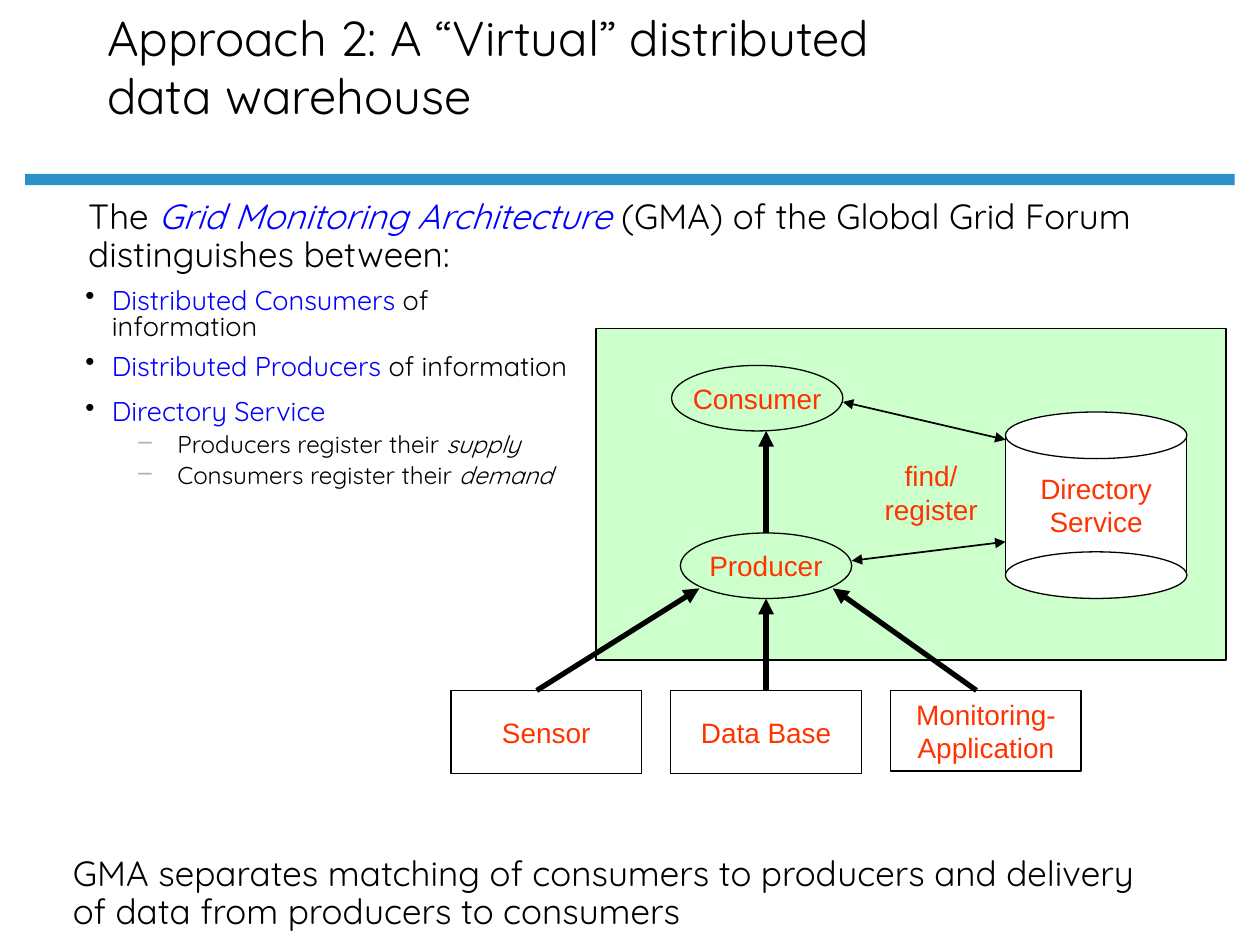
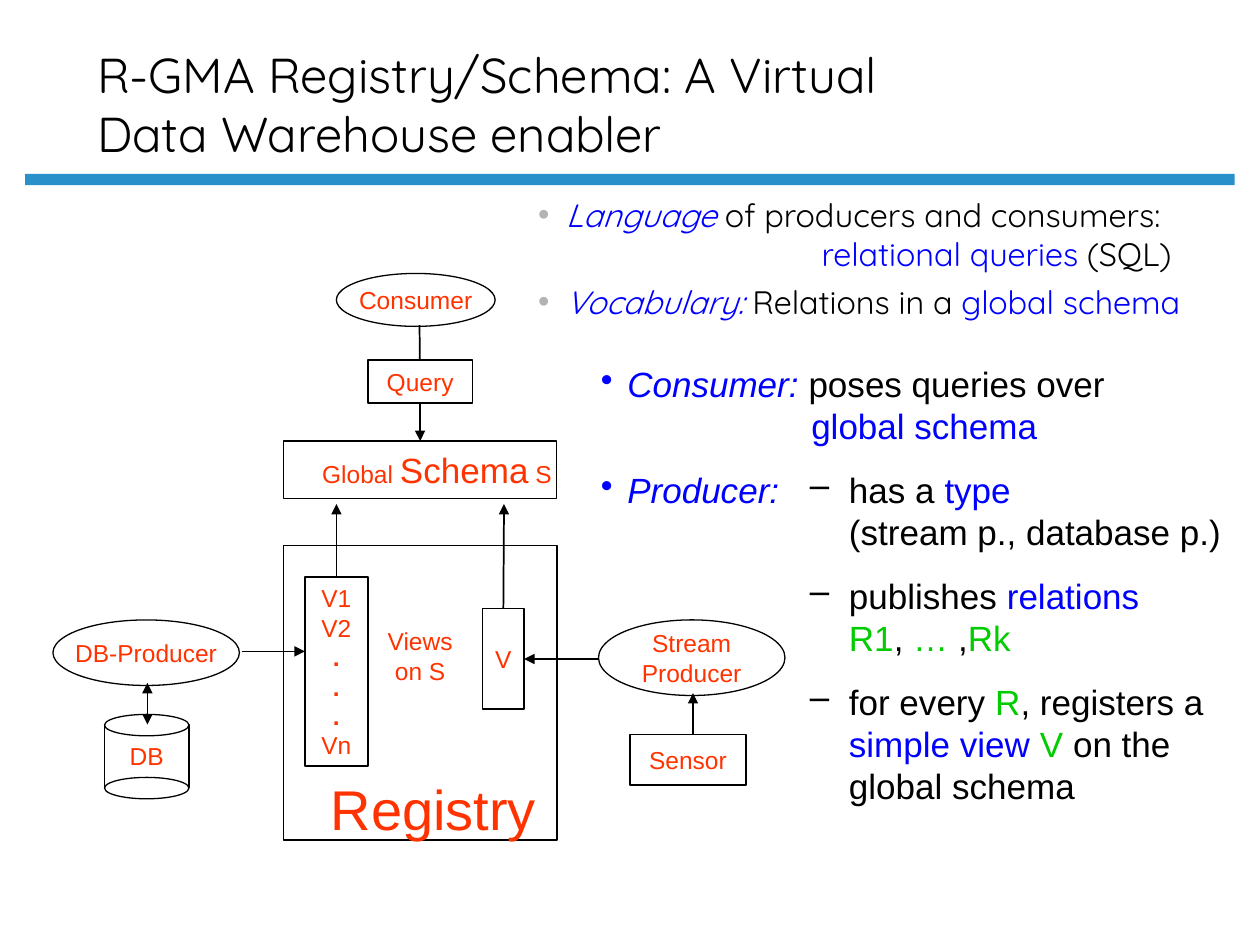
from copy import deepcopy
from dataclasses import dataclass
from typing import NamedTuple

from lxml import etree
from pptx import Presentation
from pptx.dml.color import RGBColor
from pptx.enum.shapes import MSO_CONNECTOR, MSO_SHAPE
from pptx.enum.text import MSO_ANCHOR, MSO_AUTO_SIZE, PP_ALIGN
from pptx.oxml.ns import qn
from pptx.shapes.autoshape import Shape
from pptx.slide import Slide
from pptx.text.text import TextFrame
from pptx.util import Emu, Pt

EMU_PER_PX = 9144
STRAIGHT = MSO_CONNECTOR.STRAIGHT
RECTANGLE, OVAL = MSO_SHAPE.RECTANGLE, MSO_SHAPE.OVAL
TOP, MIDDLE, BOTTOM = MSO_ANCHOR.TOP, MSO_ANCHOR.MIDDLE, MSO_ANCHOR.BOTTOM
LEFT, CENTER, RIGHT = PP_ALIGN.LEFT, PP_ALIGN.CENTER, PP_ALIGN.RIGHT
FIXED = MSO_AUTO_SIZE.NONE
TOP_SIDE, RIGHT_SIDE = 0, 3

BLACK, WHITE, BLUE, GREEN = "000000", "FFFFFF", "0000FF", "00CC00"
LABEL_RED, BAND_BLUE, GRID_GREEN, BULLET_GRAY = "FF3300", "2990CA", "CCFFCC", "B2B3B5"
HEADING_FONT, LABEL_FONT = "Quicksand", "Arial"


class Area(NamedTuple):
    left: int
    top: int
    width: int
    height: int


BAND = Area(20, 138, 960, 9)


class Span(NamedTuple):
    text: str
    color: str = BLACK
    italic: bool = False
    bold: bool = False
    size: float | None = None


@dataclass
class Para:
    spans: list[Span]
    size: float
    before: float = 0
    spacing: float = 1.0
    indent: int = 0
    hang: int = 0
    bullet: str = ""
    bullet_color: str = BLACK
    level: int = 0
    align: PP_ALIGN = LEFT


@dataclass
class Node:
    name: str
    area: Area
    paras: list[Para]
    kind: MSO_SHAPE = RECTANGLE
    fill: str | None = None
    weight: float = 0.75
    anchor: MSO_ANCHOR = MIDDLE
    margins: Area = Area(0, 0, 0, 0)


@dataclass
class Arrow:
    start: tuple[int, int]
    end: tuple[int, int]
    weight: float = 1
    double: bool = False
    start_join: tuple[str, int] | None = None
    end_join: tuple[str, int] | None = None


def px(length: int) -> Emu:
    return Emu(length * EMU_PER_PX)


def rgb(color: str) -> RGBColor:
    return RGBColor.from_string(color)


def label(text: str, size: float) -> list[Para]:
    return [Para([Span(text, LABEL_RED)], size, align=CENTER)]


def place(shape: Shape, area: Area) -> None:
    shape.left, shape.top, shape.width, shape.height = map(px, area)


def write_text(frame: TextFrame, paras: list[Para], font: str) -> None:
    for index, item in enumerate(paras):
        paragraph = frame.add_paragraph() if index else frame.paragraphs[0]
        paragraph.level = item.level
        properties = paragraph._p.get_or_add_pPr()
        properties.set("marL", str(px(item.indent)))
        properties.set("indent", str(px(-item.hang)))
        if item.bullet:
            color = etree.SubElement(properties, qn("a:buClr"))
            etree.SubElement(color, qn("a:srgbClr"), val=item.bullet_color)
            etree.SubElement(properties, qn("a:buChar"), char=item.bullet)
        else:
            etree.SubElement(properties, qn("a:buNone"))
        paragraph.alignment = item.align
        paragraph.line_spacing = item.spacing
        paragraph.space_before = Pt(item.before)
        for span in item.spans:
            for piece_index, piece in enumerate(span.text.split("\n")):
                if piece_index:
                    previous = paragraph.runs[-1]._r.rPr
                    paragraph.add_line_break()
                    paragraph._p[-1].append(deepcopy(previous))
                if not piece:
                    continue
                run = paragraph.add_run()
                run.text = piece
                run.font.name = font
                run.font.size = Pt(span.size or item.size)
                run.font.color.rgb = rgb(span.color)
                run.font.italic = span.italic
                run.font.bold = span.bold


def fill_placeholder(shape: Shape, area: Area, paras: list[Para], anchor: MSO_ANCHOR) -> None:
    place(shape, area)
    frame = shape.text_frame
    frame.auto_size = FIXED
    frame.word_wrap = True
    frame.vertical_anchor = anchor
    write_text(frame, paras, HEADING_FONT)


def add_text(page: Slide, area: Area, paras: list[Para], font: str) -> None:
    box = page.shapes.add_textbox(*map(px, area))
    box.text_frame.word_wrap = True
    write_text(box.text_frame, paras, font)


def add_box(page: Slide, kind: MSO_SHAPE, area: Area, fill: str | None, weight: float) -> Shape:
    shape = page.shapes.add_shape(kind, *map(px, area))
    shape.shadow.inherit = False
    if fill:
        shape.fill.solid()
        shape.fill.fore_color.rgb = rgb(fill)
    else:
        shape.fill.background()
    if weight:
        shape.line.color.rgb = rgb(BLACK)
        shape.line.width = Pt(weight)
    else:
        shape.line.fill.background()
    return shape


def add_node(page: Slide, node: Node) -> Shape:
    shape = add_box(page, node.kind, node.area, node.fill, node.weight)
    frame = shape.text_frame
    frame.word_wrap = False
    frame.vertical_anchor = node.anchor
    frame.margin_left, frame.margin_top, frame.margin_right, frame.margin_bottom = map(px, node.margins)
    write_text(frame, node.paras, LABEL_FONT)
    return shape


def add_cylinder(page: Slide, area: Area, cap: int, paras: list[Para]) -> None:
    left, top, width, height = area
    wall = Area(left, top + cap // 2, width, height - cap)
    add_node(page, Node("wall", wall, paras, fill=WHITE))
    for cap_top in (top + height - cap, top):
        add_box(page, OVAL, Area(left, cap_top, width, cap), WHITE, 0.75)


def add_arrow(page: Slide, arrow: Arrow, shapes: dict[str, Shape]) -> None:
    connector = page.shapes.add_connector(STRAIGHT, *map(px, arrow.start + arrow.end))
    if arrow.start_join:
        name, side = arrow.start_join
        connector.begin_connect(shapes[name], side)
    if arrow.end_join:
        name, side = arrow.end_join
        connector.end_connect(shapes[name], side)
    connector.line.color.rgb = rgb(BLACK)
    connector.line.width = Pt(arrow.weight)
    line = connector.line._get_or_add_ln()
    for tag in ("a:headEnd", "a:tailEnd") if arrow.double else ("a:tailEnd",):
        etree.SubElement(line, qn(tag), type="triangle")
    etree.SubElement(connector._element.spPr, qn("a:effectLst"))


def add_page(deck: Presentation, title: str, title_area: Area, body: list[Para], body_area: Area) -> Slide:
    page = deck.slides.add_slide(deck.slide_layouts[1])
    add_box(page, RECTANGLE, BAND, BAND_BLUE, 0)
    fill_placeholder(page.shapes.title, title_area, [Para([Span(title)], 28)], BOTTOM)
    fill_placeholder(page.placeholders[1], body_area, body, TOP)
    return page


def build_approach(deck: Presentation) -> None:
    intro = [Para([
        Span("The "),
        Span("Grid Monitoring Architecture", BLUE, italic=True),
        Span(" (GMA) of the Global Grid Forum\ndistinguishes between:"),
    ], 20, spacing=0.9)]
    page = add_page(deck, "Approach 2: A “Virtual” distributed data warehouse",
                    Area(75, 25, 667, 79), intro, Area(60, 153, 892, 75))
    add_box(page, RECTANGLE, Area(473, 261, 500, 263), GRID_GREEN, 0.75)
    nodes = [
        Node("consumer", Area(533, 290, 136, 52), label("Consumer", 16), OVAL),
        Node("producer", Area(540, 423, 136, 52), label("Producer", 16), OVAL),
        Node("sensor", Area(358, 548, 151, 66), label("Sensor", 16)),
        Node("data base", Area(532, 548, 152, 66), label("Data Base", 16)),
        Node("application", Area(707, 548, 151, 64), label("Monitoring-\nApplication", 16)),
    ]
    shapes = {node.name: add_node(page, node) for node in nodes}
    add_cylinder(page, Area(798, 327, 144, 148), 37, label("Directory\nService", 16))
    for arrow in (
        Arrow((608, 548), (608, 475), 3, start_join=("data base", TOP_SIDE)),
        Arrow((426, 548), (555, 467), 3),
        Arrow((775, 548), (661, 467), 3),
        Arrow((608, 423), (608, 342), 3),
        Arrow((669, 319), (798, 349), double=True),
        Arrow((676, 445), (798, 430), double=True),
    ):
        add_arrow(page, arrow, shapes)
    add_text(page, Area(682, 359, 114, 64), label("find/\nregister", 16), LABEL_FONT)

    def role(before: float, *spans: Span) -> Para:
        return Para(list(spans), 15.5, before, 0.8, 21, 21, "•")

    def registration(text: str, subject: str) -> Para:
        return Para([Span(text), Span(subject, italic=True)], 13.9, 4.5, 0.8, 73, 31, "–", BULLET_GRAY, 1)

    add_text(page, Area(58, 225, 417, 267), [
        role(0, Span("Distributed Consumers", BLUE), Span(" of\ninformation")),
        role(8, Span("Distributed Producers", BLUE), Span(" of information")),
        role(11, Span("Directory Service", BLUE)),
        registration("Producers register their ", "supply"),
        registration("Consumers register their ", "demand"),
    ], HEADING_FONT)
    summary = "GMA separates matching of consumers to producers and delivery of data from producers to consumers"
    add_text(page, Area(48, 675, 892, 75), [Para([Span(summary)], 20, spacing=0.9)], HEADING_FONT)


def build_registry(deck: Presentation) -> None:
    def topic(before: float, *spans: Span) -> Para:
        return Para(list(spans), 18.5, before, 1.0, 22, 22, "•", BULLET_GRAY)

    page = add_page(deck, "R-GMA Registry/Schema: A Virtual Data Warehouse enabler", Area(67, 42, 667, 92), [
        topic(0, Span("Language", BLUE, italic=True), Span(" of producers and consumers:")),
        Para([Span("relational queries", BLUE), Span(" (SQL)")], 18.5, indent=225),
        topic(5, Span("Vocabulary:", BLUE, italic=True), Span(" Relations in a "), Span("global schema", BLUE)),
    ], Area(417, 150, 558, 125))
    schema = [Para([Span("Global ", LABEL_RED), Span("Schema", LABEL_RED, size=20), Span(" S", LABEL_RED)],
                   14, align=RIGHT)]
    views = [Para([Span("V1\nV2\n", LABEL_RED), Span(".\n.\n.\n", LABEL_RED, bold=True),
                   Span("Vn", LABEL_RED)], 14, align=CENTER)]
    registry = label("Views\non S", 14) + [
        Para([Span("Registry", LABEL_RED)], 32, before=51, indent=21, align=CENTER)]
    nodes = [
        Node("consumer", Area(267, 217, 126, 42), label("Consumer", 14), OVAL),
        Node("db producer", Area(42, 492, 148, 52), label("DB-Producer", 14), OVAL),
        Node("schema", Area(225, 350, 217, 46), schema, margins=Area(0, 0, 4, 0)),
        Node("stream producer", Area(475, 492, 148, 60), label("Stream\nProducer", 14), OVAL),
        Node("sensor", Area(500, 583, 92, 40), label("Sensor", 14)),
        Node("views", Area(242, 458, 50, 150), views, weight=1),
        Node("stream view", Area(383, 483, 33, 80), label("V", 14), weight=1),
        Node("registry", Area(225, 433, 217, 234), registry, weight=1, anchor=TOP, margins=Area(0, 64, 0, 0)),
    ]
    shapes = {node.name: add_node(page, node) for node in nodes}
    add_cylinder(page, Area(83, 567, 67, 67), 17, label("DB", 14))
    for arrow in (
        Arrow((333, 258), (333, 350), end_join=("schema", TOP_SIDE)),
        Arrow((117, 575), (117, 542), double=True),
        Arrow((550, 583), (550, 550)),
        Arrow((192, 517), (242, 517)),
        Arrow((475, 523), (416, 523), end_join=("stream view", RIGHT_SIDE)),
        Arrow((400, 483), (400, 400), start_join=("stream view", TOP_SIDE)),
        Arrow((267, 458), (267, 400), start_join=("views", TOP_SIDE)),
    ):
        add_arrow(page, arrow, shapes)
    add_node(page, Node("query", Area(292, 286, 83, 34), label("Query", 14), fill=WHITE, weight=1))

    def actor(before: float, *spans: Span) -> Para:
        return Para(list(spans), 20, before, 1.0, 21, 21, "•", BLUE)

    def duty(before: float, *spans: Span) -> Para:
        return Para(list(spans), 20, before, 1.0, 31, 31, "–")

    add_text(page, Area(467, 283, 508, 128), [
        actor(0, Span("Consumer:", BLUE, italic=True), Span(" poses queries over")),
        Para([Span("global schema", BLUE)], 20, indent=167),
        actor(12.5, Span("Producer:", BLUE, italic=True)),
    ], LABEL_FONT)
    add_text(page, Area(633, 367, 367, 278), [
        duty(0, Span("has a "), Span("type\n", BLUE), Span("(stream p., database p.)")),
        duty(12.5, Span("publishes "), Span("relations\n", BLUE), Span("R1", GREEN), Span(","),
             Span(" … ", GREEN), Span(","), Span("Rk", GREEN)),
        duty(12.5, Span("for every "), Span("R", GREEN), Span(", registers a "),
             Span("simple view ", BLUE), Span("V", GREEN), Span(" on the global schema")),
    ], LABEL_FONT)


def main() -> None:
    deck = Presentation()
    deck.slide_width, deck.slide_height = px(1000), px(750)
    build_approach(deck)
    build_registry(deck)
    deck.save("out.pptx")


if __name__ == "__main__":
    main()
